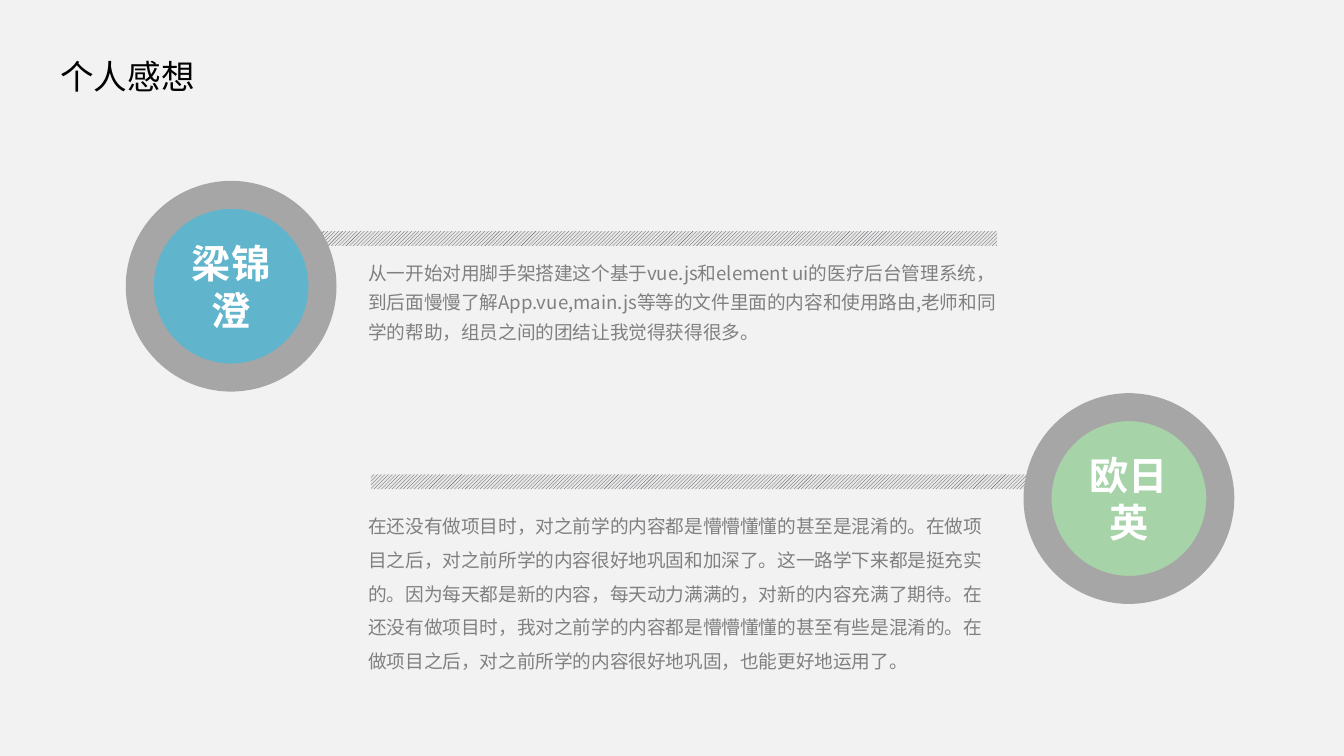
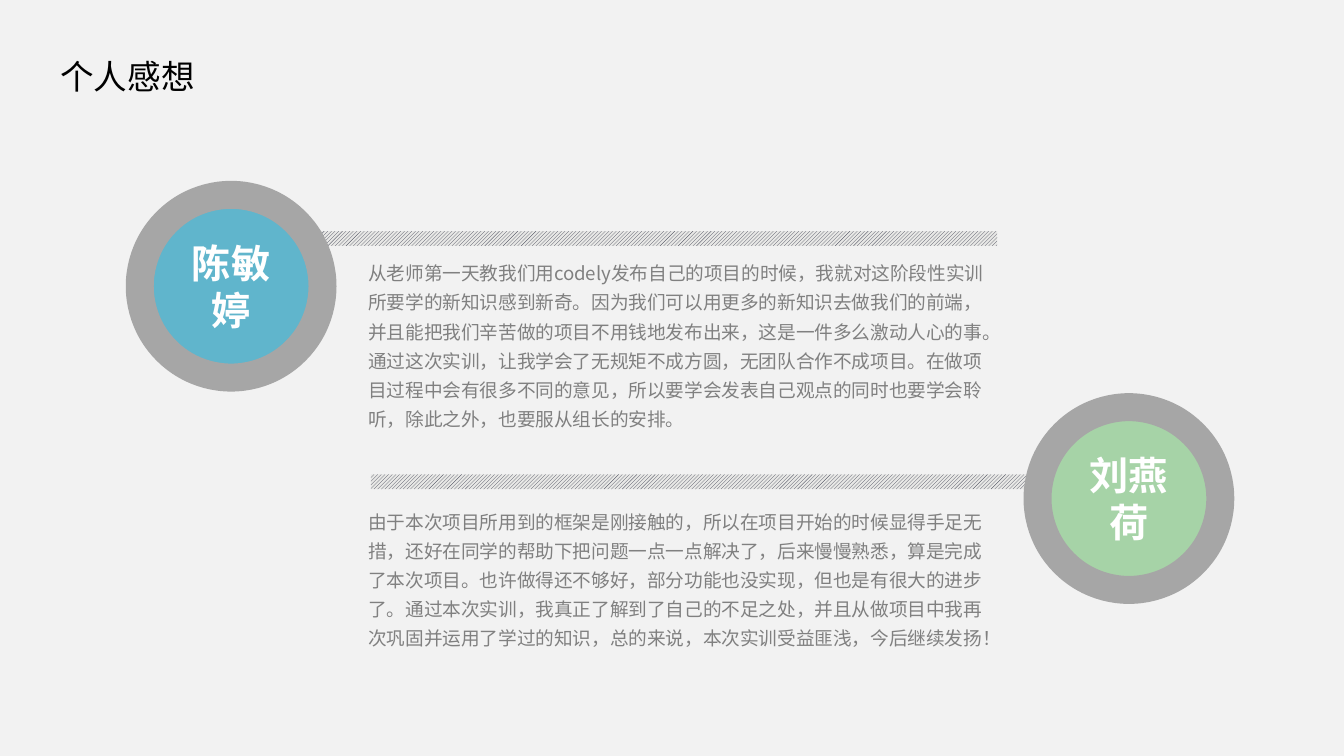
from lxml.etree import SubElement
from pptx import Presentation
from pptx.dml.color import RGBColor
from pptx.enum.dml import MSO_PATTERN
from pptx.enum.shapes import MSO_SHAPE as Preset
from pptx.enum.text import MSO_ANCHOR as Anchor, MSO_AUTO_SIZE as AutoSize, PP_ALIGN as Align
from pptx.oxml.ns import qn
from pptx.util import Inches, Pt

COLORS = {
    "background": "F2F2F2",
    "title": "000000",
    "body": "808080",
    "name": "FFFFFF",
    "ring": "A6A6A6",
    "blue": "60B5CC",
    "green": "A6D3A7",
    "hatch": "414455",
    "hatch_ground": "E8E8E6",
}
CHINESE_FONT = "Noto Sans CJK SC"
TITLE_FONT = "Calibri"
TITLE = "个人感想"

# Upper and lower position: bar, badge and text corner
POSITIONS = [
    {"bar": (2.28, 1.72), "badge": (1.04, 1.45), "text": (2.67, 1.86), "color": "blue"},
    {"bar": (2.76, 3.53), "badge": (7.72, 3.03), "text": (2.67, 3.71), "color": "green"},
]

# One list per slide: name, line spacing, text height, paragraphs
SLIDES = [
    [
        ("梁锦澄", 1.3, 0.73, [
            "从一开始对用脚手架搭建这个基于vue.js和element ui的医疗后台管理系统，"
            "到后面慢慢了解App.vue,main.js等等的文件里面的内容和使用路由,"
            "老师和同学的帮助，组员之间的团结让我觉得获得很多。",
        ]),
        ("欧日英", 1.5, 1.31, [
            "在还没有做项目时，对之前学的内容都是懵懵懂懂的甚至是混淆的。"
            "在做项目之后，对之前所学的内容很好地巩固和加深了。这一路学下来都是挺充实的。"
            "因为每天都是新的内容，每天动力满满的，对新的内容充满了期待。"
            "在还没有做项目时，我对之前学的内容都是懵懵懂懂的甚至有些是混淆的。"
            "在做项目之后，对之前所学的内容很好地巩固，也能更好地运用了。",
        ]),
    ],
    [
        ("陈敏婷", 1.3, 1.39, [
            "从老师第一天教我们用codely发布自己的项目的时候，"
            "我就对这阶段性实训所要学的新知识感到新奇。"
            "因为我们可以用更多的新知识去做我们的前端，"
            "并且能把我们辛苦做的项目不用钱地发布出来，这是一件多么激动人心的事。",
            "通过这次实训，让我学会了无规矩不成方圆，无团队合作不成项目。"
            "在做项目过程中会有很多不同的意见，所以要学会发表自己观点的同时也要学会聆听，"
            "除此之外，也要服从组长的安排。",
        ]),
        ("刘燕荷", 1.3, 1.15, [
            "由于本次项目所用到的框架是刚接触的，所以在项目开始的时候显得手足无措，"
            "还好在同学的帮助下把问题一点一点解决了，后来慢慢熟悉，算是完成了本次项目。"
            "也许做得还不够好，部分功能也没实现，但也是有很大的进步了。"
            "通过本次实训，我真正了解到了自己的不足之处，"
            "并且从做项目中我再次巩固并运用了学过的知识，"
            "总的来说，本次实训受益匪浅，今后继续发扬！",
        ]),
    ],
]


def color(name):
    return RGBColor.from_string(COLORS[name])


def add_run(paragraph, text, size, color_name, font=CHINESE_FONT, bold=False):
    run = paragraph.add_run()
    run.text = text
    run.font.size = Pt(size)
    run.font.bold = bold
    run.font.color.rgb = color(color_name)
    run.font.name = font
    east_asian = SubElement(run.font._element, qn("a:ea"))
    east_asian.set("typeface", CHINESE_FONT)


def set_insets(frame):
    frame.margin_left = frame.margin_right = Inches(0.07)
    frame.margin_top = frame.margin_bottom = Inches(0.04)


def add_preset(slide, preset, corner, width, height):
    shape = slide.shapes.add_shape(
        preset, *map(Inches, (*corner, width, height)))
    shape.shadow.inherit = False
    return shape


def add_text_box(slide, corner, width, height):
    box = slide.shapes.add_textbox(*map(Inches, (*corner, width, height)))
    frame = box.text_frame
    frame.word_wrap = True
    frame.auto_size = AutoSize.SHAPE_TO_FIT_TEXT
    return frame


def add_title(slide):
    frame = add_text_box(slide, (0.35, 0.37), 1.4, 0.4)
    add_run(frame.paragraphs[0], TITLE, 18, "title", TITLE_FONT)


def add_hatched_bar(slide, corner):
    bar = add_preset(slide, Preset.RECTANGLE, corner, 5.14, 0.11)
    bar.fill.patterned()
    bar.fill.pattern = MSO_PATTERN.LIGHT_UPWARD_DIAGONAL
    bar.fill.fore_color.rgb = color("hatch")
    bar.fill.back_color.rgb = color("hatch_ground")
    bar.line.fill.background()


def add_name_badge(slide, corner, name, fill):
    badge = add_preset(slide, Preset.OVAL, corner, 1.36, 1.36)
    badge.fill.solid()
    badge.fill.fore_color.rgb = color(fill)
    badge.line.color.rgb = color("ring")
    badge.line.width = Pt(15)
    frame = badge.text_frame
    frame.word_wrap = True
    frame.vertical_anchor = Anchor.MIDDLE
    set_insets(frame)
    paragraph = frame.paragraphs[0]
    paragraph.alignment = Align.CENTER
    add_run(paragraph, name, 21, "name", bold=True)


def add_reflection(slide, corner, height, spacing, texts):
    frame = add_text_box(slide, corner, 4.84, height)
    set_insets(frame)
    for index, text in enumerate(texts):
        paragraph = frame.add_paragraph() if index else frame.paragraphs[0]
        paragraph.line_spacing = spacing
        add_run(paragraph, text, 10, "body")


def build_slide(presentation, people):
    slide = presentation.slides.add_slide(presentation.slide_layouts[6])
    slide.background.fill.solid()
    slide.background.fill.fore_color.rgb = color("background")
    # Bars lie behind the badges
    for position in reversed(POSITIONS):
        add_hatched_bar(slide, position["bar"])
    for position, (name, spacing, height, texts) in zip(POSITIONS, people):
        add_name_badge(slide, position["badge"], name, position["color"])
        add_reflection(slide, position["text"], height, spacing, texts)
    add_title(slide)


def main():
    presentation = Presentation()
    # Widescreen, 16:9
    presentation.slide_width = Inches(10)
    presentation.slide_height = Inches(10 * 9 / 16)
    for people in SLIDES:
        build_slide(presentation, people)
    presentation.save("out.pptx")


if __name__ == "__main__":
    main()
